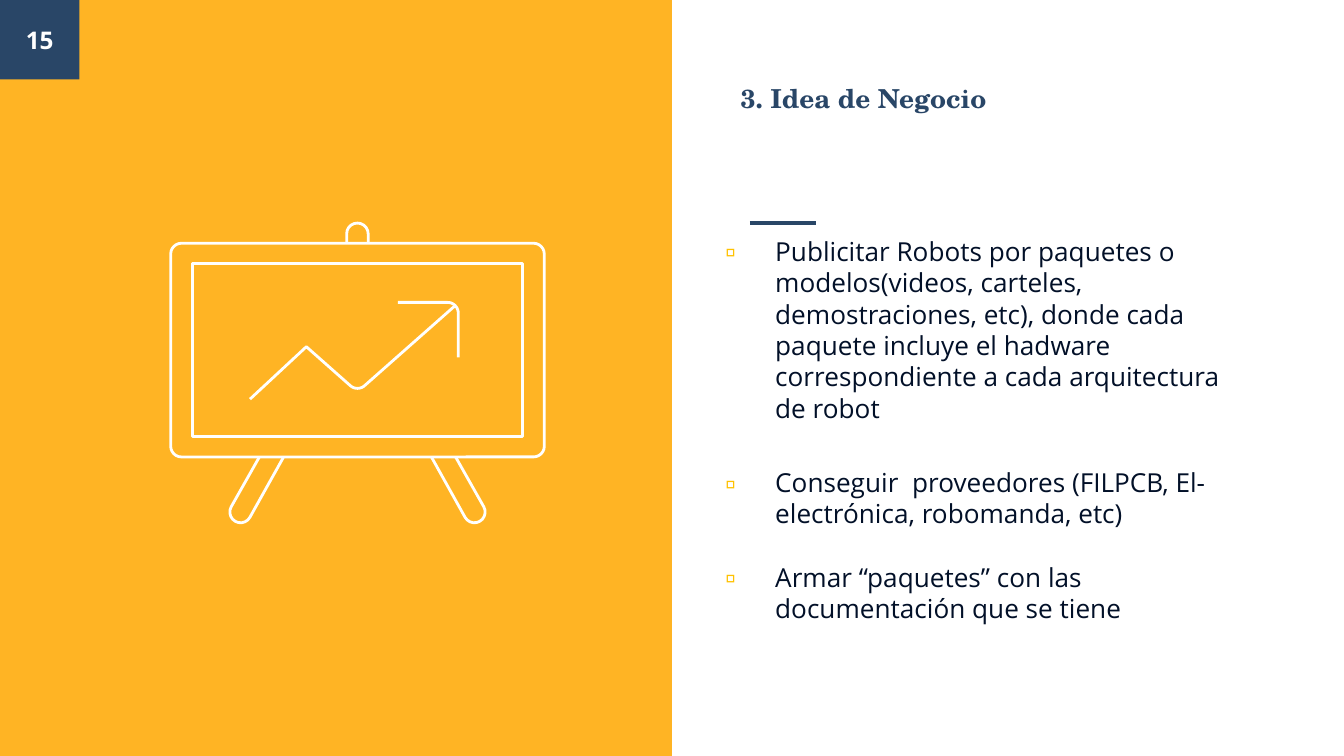
from math import cos, radians, sin

from lxml.etree import SubElement
from pptx import Presentation
from pptx.dml.color import RGBColor
from pptx.enum.shapes import MSO_CONNECTOR as Link, MSO_SHAPE as Shape
from pptx.enum.text import MSO_ANCHOR as Anchor, MSO_AUTO_SIZE as Fit, PP_ALIGN as Align
from pptx.oxml.ns import qn
from pptx.util import Inches, Pt

WIDE, HIGH = 10, 10 * 9 / 16
NAVY = RGBColor(0x29, 0x46, 0x67)
AMBER = RGBColor(0xFF, 0xA8, 0x00)
GOLD = RGBColor(0xFF, 0xC2, 0x00)
INK = RGBColor(0x02, 0x10, 0x28)
WHITE = RGBColor(0xFF, 0xFF, 0xFF)
SANS = "Open Sans"
SERIF = "TeX Gyre Schola"

# Text and the space before it in points
ITEMS = [
    ("Publicitar Robots por paquetes o modelos(videos, carteles, demostraciones, etc), "
     "donde cada paquete incluye el hadware correspondiente a cada arquitectura de robot", 0),
    ("Conseguir  proveedores (FILPCB, El-electrónica, robomanda, etc)", 23),
    ("Armar “paquetes” con las documentación que se tiene", 17),
]


def set_font(para, size, color, name=SANS, bold=False):
    font = para.font
    font.size, font.name, font.bold = Pt(size), name, bold
    font.color.rgb = color


def set_frame(frame, anchor):
    frame.word_wrap = True
    frame.auto_size = Fit.NONE
    frame.vertical_anchor = anchor
    frame.margin_left = frame.margin_right = Inches(0.1)
    frame.margin_top = frame.margin_bottom = Inches(0.1)


def add_block(slide, box, color):
    block = slide.shapes.add_shape(Shape.RECTANGLE, *map(Inches, box))
    block.shadow.inherit = False
    block.fill.solid()
    block.fill.fore_color.rgb = color
    block.line.fill.background()
    return block


def add_panel(slide, box):
    panel = add_block(slide, box, AMBER)
    tint = panel.fill._xPr.find(".//" + qn("a:srgbClr"))
    SubElement(tint, qn("a:alpha"), val="86000")


def add_number(slide, box, text):
    block = add_block(slide, box, NAVY)
    set_frame(block.text_frame, Anchor.MIDDLE)
    para = block.text_frame.paragraphs[0]
    para.text = text
    para.alignment = Align.CENTER
    set_font(para, 13, WHITE, bold=True)


def add_title(slide, box, text):
    title = slide.shapes.title
    title.left, title.top, title.width, title.height = map(Inches, box)
    set_frame(title.text_frame, Anchor.BOTTOM)
    para = title.text_frame.paragraphs[0]
    para.text = text
    para.alignment = Align.LEFT
    set_font(para, 14, NAVY, SERIF, True)


def add_rule(slide, left, top, width):
    rule = slide.shapes.add_connector(
        Link.STRAIGHT, Inches(left), Inches(top), Inches(left + width), Inches(top))
    rule.line.color.rgb = NAVY
    rule.line.width = Pt(2.25)
    SubElement(rule._element.spPr, qn("a:effectLst"))


def add_bullet(para):
    props = para._p.get_or_add_pPr()
    props.set("marL", str(Inches(0.5)))
    props.set("indent", str(Inches(-0.37)))
    color = SubElement(props, qn("a:buClr"))
    SubElement(color, qn("a:srgbClr"), val=str(GOLD))
    SubElement(props, qn("a:buFont"), typeface=SANS)
    SubElement(props, qn("a:buChar"), char="▫")


def add_list(slide, box, items):
    frame = slide.shapes.add_textbox(*map(Inches, box)).text_frame
    set_frame(frame, Anchor.TOP)
    for i, (text, gap) in enumerate(items):
        para = frame.add_paragraph() if i else frame.paragraphs[0]
        para.text = text
        add_bullet(para)
        para.space_before = Pt(gap)
        set_font(para, 14, INK)


def outline(shape):
    shape.shadow.inherit = False
    shape.fill.background()
    shape.line.color.rgb = WHITE
    shape.line.width = Pt(1.5)


def arc(x, y, start, end, radius=0.08, steps=10):
    """Points on a circle, with angles in degrees clockwise from the right."""
    turns = [radians(start + (end - start) * i / steps) for i in range(steps + 1)]
    return [(x + radius * cos(t), y + radius * sin(t)) for t in turns]


def add_board(slide, box):
    """Draw a flip-chart easel with a rising arrow."""
    left, top, width, height = box
    mid = width / 2
    shapes = slide.shapes

    def trace(points):
        spots = [(Inches(left + x), Inches(top + y)) for x, y in points]
        path = shapes.build_freeform(*spots[0], scale=1.0)
        path.add_line_segments(spots[1:], close=False)
        outline(path.convert_to_shape())

    frame = shapes.add_shape(Shape.ROUNDED_RECTANGLE, *map(Inches, box))
    frame.adjustments[0] = 0.08 / height
    outline(frame)
    pad = 0.16, 0.15
    outline(shapes.add_shape(
        Shape.RECTANGLE, Inches(left + pad[0]), Inches(top + pad[1]),
        Inches(width - 2 * pad[0]), Inches(height - 2 * pad[1])))

    trace([(mid + 0.08, 0), *arc(mid, -0.07, 0, -180), (mid - 0.08, 0)])
    leg = [(0.66, height), *arc(0.52, 2, 209, 30), (0.84, height)]
    trace(leg)
    trace([(width - x, y) for x, y in leg])
    trace([(2.11, 0.47), *arc(mid, 1, 45, 135), (1.01, 0.77), (0.59, 1.16)])
    trace([(1.69, 0.44), *arc(2.06, 0.52, -90, 0), (2.14, 0.85)])


def main():
    deck = Presentation()
    deck.slide_width, deck.slide_height = Inches(WIDE), Inches(HIGH)
    slide = deck.slides.add_slide(deck.slide_layouts[5])
    add_panel(slide, (0, 0, WIDE / 2, HIGH))
    add_number(slide, (0, 0, 0.59, 0.59), "15")
    add_title(slide, (5.41, 0.11, 4.04, 0.84), "3. Idea de Negocio")
    add_rule(slide, 5.58, 1.66, 0.49)
    add_list(slide, (5.17, 1.65, 4.04, 3.65), ITEMS)
    add_board(slide, (1.27, 1.81, 2.78, 1.59))
    deck.save("out.pptx")


if __name__ == "__main__":
    main()
